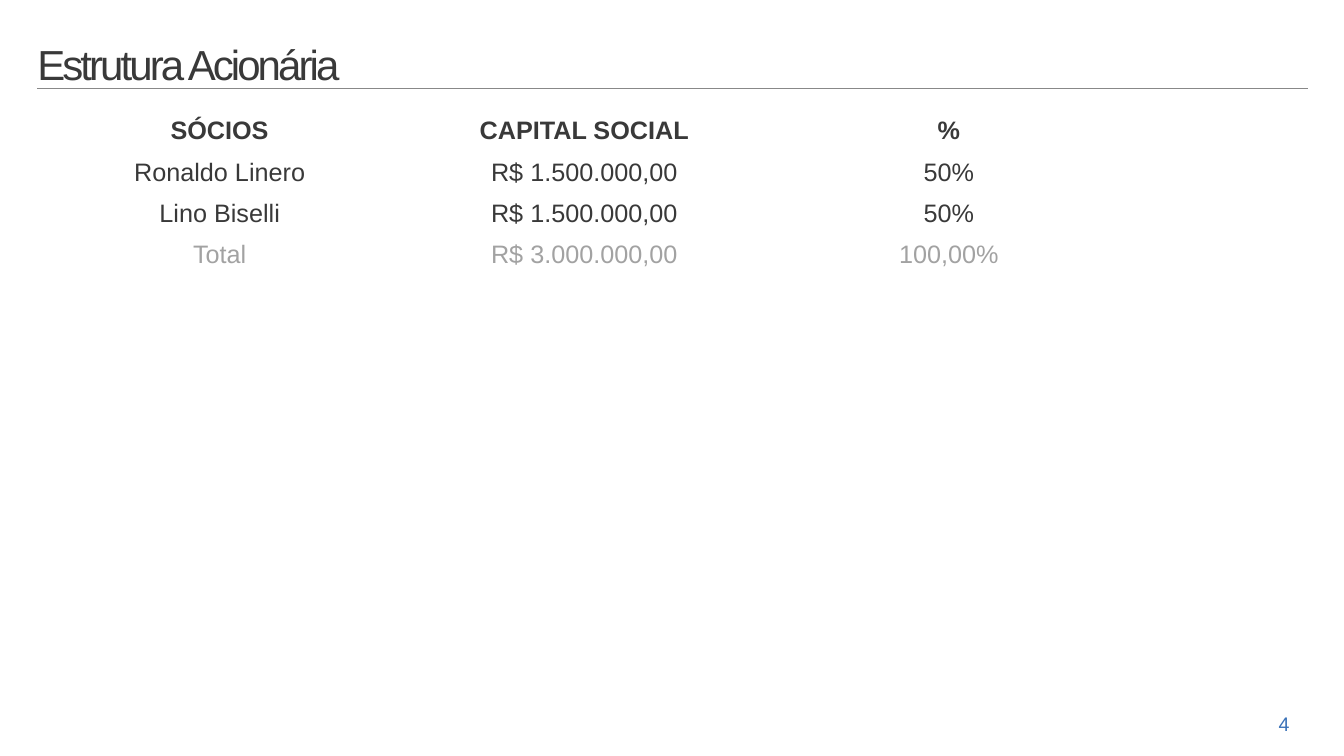
from dataclasses import dataclass

from lxml.etree import SubElement
from pptx import Presentation
from pptx.dml.color import RGBColor
from pptx.enum.shapes import MSO_CONNECTOR
from pptx.enum.text import MSO_ANCHOR, PP_ALIGN
from pptx.oxml.ns import qn
from pptx.util import Inches, Pt


@dataclass(frozen=True)
class Theme:
    font: str = "Arial"
    text: str = "393939"
    total: str = "A2A2A2"
    rule: str = "888888"
    number: str = "3B72B8"
    title_size: int = 30
    table_size: int = 18
    number_size: int = 14


theme = Theme()


def write(frame, text, size, color=theme.text, bold=False, align=PP_ALIGN.CENTER):
    paragraph = frame.paragraphs[0]
    paragraph.alignment = align
    run = paragraph.add_run()
    run.text = text
    run.font.name = theme.font
    run.font.size = Pt(size)
    run.font.bold = bold
    run.font.color.rgb = RGBColor.from_string(color)
    return paragraph


presentation = Presentation()
presentation.slide_width = Inches(13.33)
presentation.slide_height = Inches(7.5)
slide = presentation.slides.add_slide(presentation.slide_layouts[5])

# Title
title = slide.shapes.title
title.left, title.top = Inches(0.37), Inches(0.12)
title.width, title.height = Inches(6.41), Inches(0.76)
title_frame = title.text_frame
title_frame.vertical_anchor = MSO_ANCHOR.BOTTOM
title_frame.margin_left = title_frame.margin_right = title_frame.margin_bottom = 0
title_frame.margin_top = Inches(0.07)
title_paragraph = write(title_frame, "Estrutura Acionária", theme.title_size,
                        align=PP_ALIGN.LEFT)
title_paragraph.line_spacing = 0.85
title_paragraph.runs[0].font._element.set("spc", "-210")

# Rule under the title
rule = slide.shapes.add_connector(
    MSO_CONNECTOR.STRAIGHT, Inches(0.37), Inches(0.88), Inches(12.97), Inches(0.88))
rule.line.color.rgb = RGBColor.from_string(theme.rule)
rule.line.width = Pt(0.85)
SubElement(rule._element.spPr, qn("a:effectLst"))

# Shareholder table
shareholders = [
    ("SÓCIOS", "CAPITAL SOCIAL", "%"),
    ("Ronaldo Linero", "R$ 1.500.000,00", "50%"),
    ("Lino Biselli", "R$ 1.500.000,00", "50%"),
    ("Total", "R$ 3.000.000,00", "100,00%"),
]
row_height = Inches(0.41)
table = slide.shapes.add_table(
    len(shareholders), len(shareholders[0]), Inches(0.37), Inches(1.11),
    Inches(10.85), row_height * len(shareholders)).table
table.first_row = table.horz_banding = False
for row_index, values in enumerate(shareholders):
    table.rows[row_index].height = row_height
    is_header = row_index == 0
    is_total = row_index == len(shareholders) - 1
    for column_index, value in enumerate(values):
        cell = table.cell(row_index, column_index)
        cell.fill.background()
        write(cell.text_frame, value, theme.table_size, bold=is_header,
              color=theme.total if is_total else theme.text)

# Page number
page_number = slide.shapes.add_textbox(
    Inches(12.47), Inches(7.01), Inches(0.53), Inches(0.34))
page_number.text_frame.word_wrap = True
write(page_number.text_frame, "4", theme.number_size, color=theme.number)

presentation.save("out.pptx")
